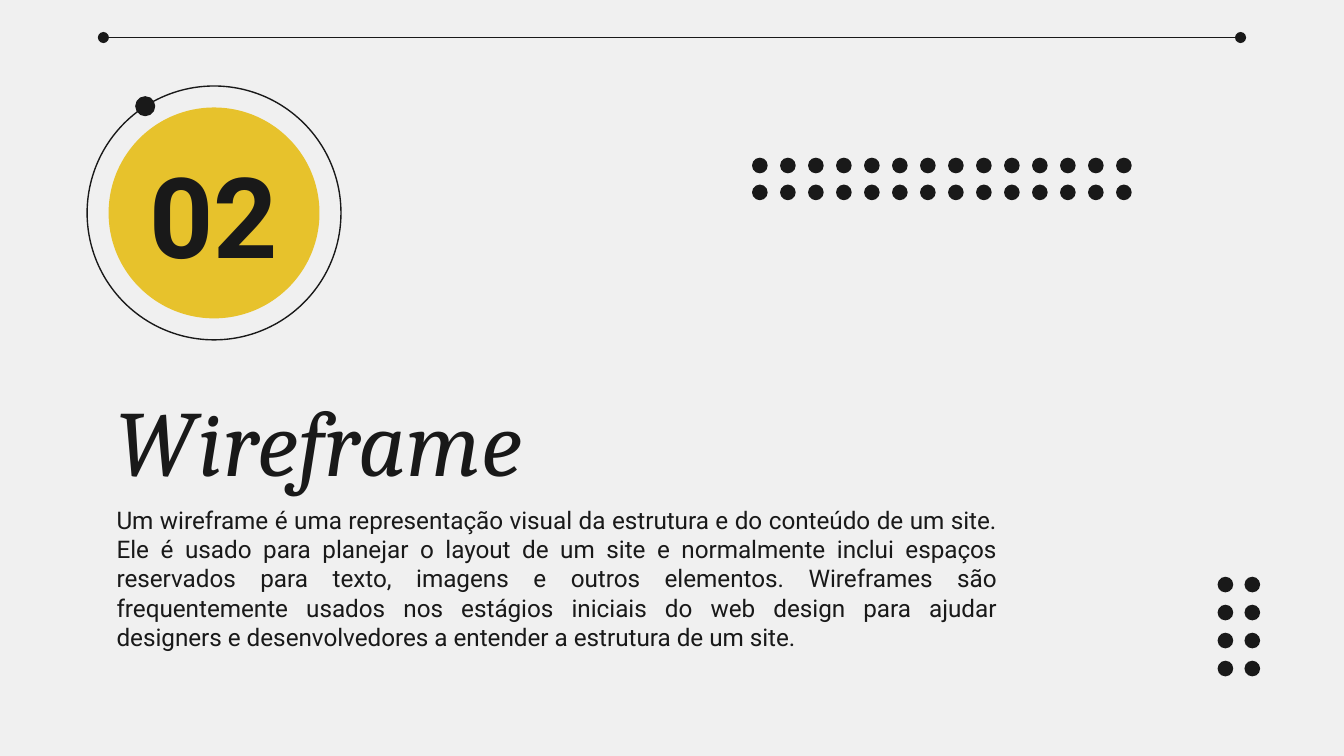
import pptx
import pptx.dml.color
import pptx.enum.shapes
import pptx.enum.text
import pptx.oxml
import pptx.oxml.ns
import pptx.util

Pt = pptx.util.Pt
RGBColor = pptx.dml.color.RGBColor
Align = pptx.enum.text.PP_ALIGN
Anchor = pptx.enum.text.MSO_ANCHOR

INK = RGBColor(0x19, 0x19, 0x19)
YELLOW = RGBColor(0xE7, 0xC2, 0x2C)
PAPER = RGBColor(0xF0, 0xF0, 0xF0)

DESCRIPTION = (
    "Um wireframe é uma representação visual da estrutura e do conteúdo de um site. "
    "Ele é usado para planejar o layout de um site e normalmente inclui espaços "
    "reservados para texto, imagens e outros elementos. Wireframes são "
    "frequentemente usados nos estágios iniciais do web design para ajudar "
    "designers e desenvolvedores a entender a estrutura de um site."
)


class SlideBuilder:
    line_width = 0.75
    dot_size = 8.4
    inset = 7.2

    def __init__(self, page):
        self.page = page
        page.background.fill.solid()
        page.background.fill.fore_color.rgb = PAPER

    def circle(self, center_x, center_y, size, fill=None):
        shape = self.page.shapes.add_shape(
            pptx.enum.shapes.MSO_SHAPE.OVAL,
            Pt(center_x - size / 2), Pt(center_y - size / 2), Pt(size), Pt(size),
        )
        shape.shadow.inherit = False
        if fill is None:
            shape.fill.background()
            shape.line.color.rgb = INK
            shape.line.width = Pt(self.line_width)
        else:
            shape.fill.solid()
            shape.fill.fore_color.rgb = fill
            shape.line.fill.background()

    def dot_grid(self, left, top, columns, rows, step_x=15, step_y=15):
        for row in range(rows):
            for column in range(columns):
                self.circle(left + column * step_x, top + row * step_y, self.dot_size, INK)

    def dotted_rule(self, left, right, y):
        rule = self.page.shapes.add_connector(
            pptx.enum.shapes.MSO_CONNECTOR.STRAIGHT, Pt(left), Pt(y), Pt(right), Pt(y)
        )
        rule.line.color.rgb = INK
        rule.line.width = Pt(self.line_width)
        outline = rule.line._get_or_add_ln()
        for end in ("a:headEnd", "a:tailEnd"):
            element = pptx.oxml.xmlchemy.OxmlElement(end)
            element.set("type", "oval")
            outline.append(element)
        properties = rule._element.spPr
        properties.append(pptx.oxml.xmlchemy.OxmlElement("a:effectLst"))

    def text(self, words, left, top, width, height, size, font="Roboto",
             align=Align.LEFT, anchor=Anchor.MIDDLE, bold=False, italic=False):
        box = self.page.shapes.add_textbox(Pt(left), Pt(top), Pt(width), Pt(height))
        frame = box.text_frame
        frame.word_wrap = True
        frame.vertical_anchor = anchor
        frame.margin_left = frame.margin_right = Pt(self.inset)
        frame.margin_top = frame.margin_bottom = Pt(self.inset)
        para = frame.paragraphs[0]
        para.alignment = align
        span = para.add_run()
        span.text = words
        span.font.name = font
        span.font.size = Pt(size)
        span.font.bold = bold
        span.font.italic = italic
        span.font.color.rgb = INK


def main():
    deck = pptx.Presentation()
    deck.slide_width = Pt(720)
    deck.slide_height = Pt(405)
    builder = SlideBuilder(deck.slides.add_slide(deck.slide_layouts[6]))

    builder.circle(114.7, 114.1, 136)
    builder.circle(77.8, 56.9, 10)
    builder.circle(114.7, 114.1, 113, YELLOW)
    builder.circle(77.8, 56.9, 10, INK)

    builder.text("Wireframe", 55.4, 202.3, 485.3, 66.2, 50, font="Cambria", italic=True)
    builder.text("02", 56.9, 81.4, 115.2, 66.2, 60, align=Align.CENTER, bold=True)
    builder.text(DESCRIPTION, 55.4, 263.5, 485.3, 90, 13,
                 align=Align.JUSTIFY, anchor=Anchor.TOP)

    builder.dot_grid(407.1, 88.7, columns=14, rows=2, step_y=14.4)
    builder.dotted_rule(55.4, 664.6, 20.1)
    builder.dot_grid(656.5, 313.2, columns=2, rows=4, step_x=14.4)

    deck.save("out.pptx")


if __name__ == "__main__":
    main()
